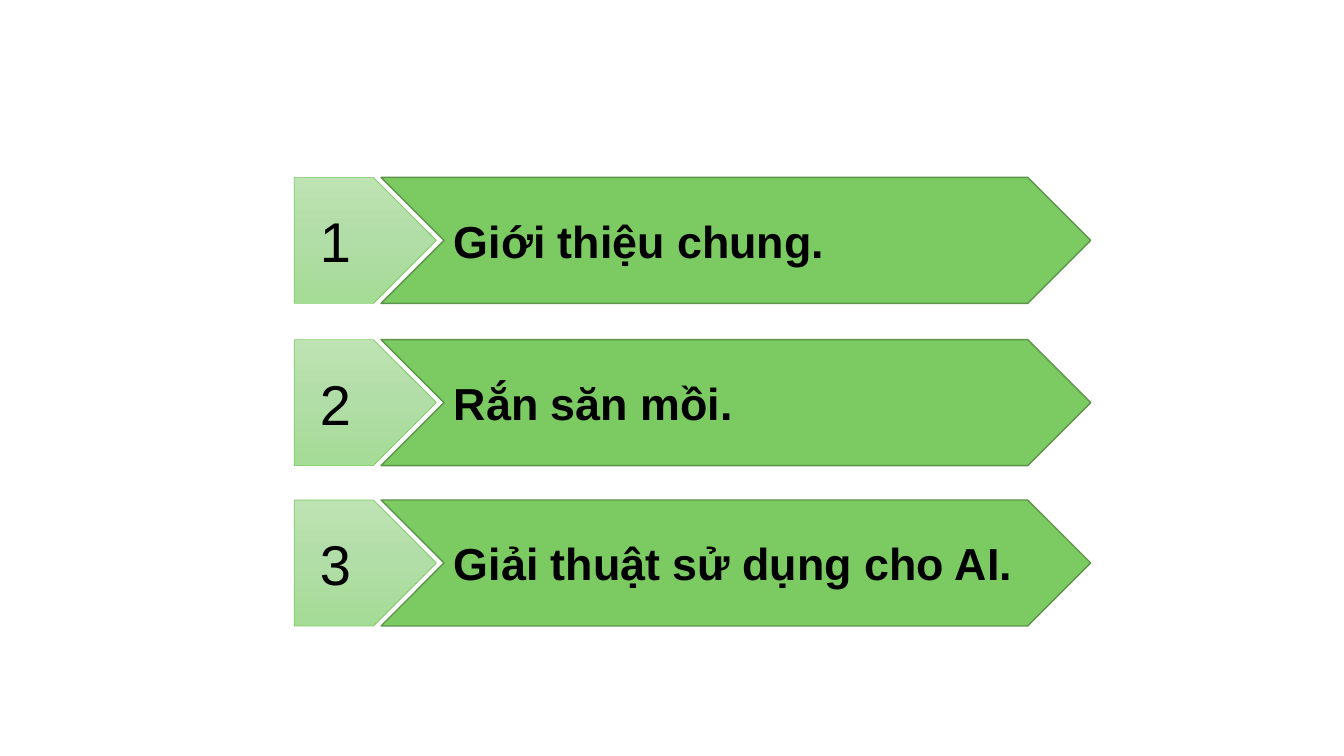
from copy import deepcopy
from dataclasses import dataclass

from pptx import Presentation
from pptx import util as u
from pptx.dml import color
from pptx.enum import shapes, text
from pptx.slide import Slide

COLORS = {
    "green": "7CCA62",
    "outline": "5C9549",
    "top": "BDE3B3",
    "middle": "B1DDA6",
    "bottom": "A5DC96",
    "ink": "000000",
}
HEIGHT = 90


@dataclass
class Topic:
    number: str
    title: str
    top: float


@dataclass
class Style:
    kind: shapes.MSO_SHAPE
    left: float
    width: float
    line: str
    line_width: float
    indent: float
    font: dict


TITLE = Style(shapes.MSO_SHAPE.CHEVRON, 272.2, 506.9, "outline", 1, 7.2,
              {"name": "Arial", "size": u.Pt(32), "bold": True})
NUMBER = Style(shapes.MSO_SHAPE.PENTAGON, 210.2, 101.5, "green", 0.5, 18.3,
               {"name": "Arial", "size": u.Pt(40), "bold": False})
TOPICS = [
    Topic("1", "Giới thiệu chung.", 126.7),
    Topic("2", "Rắn săn mồi.", 242.6),
    Topic("3", "Giải thuật sử dụng cho AI.", 357.1),
]


def rgb(name: str) -> color.RGBColor:
    return color.RGBColor.from_string(COLORS[name])


def add_arrow(s: Slide, style: Style, top: float, label: str):
    sp = s.shapes.add_shape(style.kind, u.Pt(style.left), u.Pt(top),
                            u.Pt(style.width), u.Pt(HEIGHT))
    sp.shadow.inherit = False
    sp.line.color.rgb = rgb(style.line)
    sp.line.width = u.Pt(style.line_width)
    tf = sp.text_frame
    frame_format = {
        "word_wrap": True,
        "vertical_anchor": text.MSO_ANCHOR.MIDDLE,
        "margin_left": u.Pt(style.indent),
    }
    for key, value in frame_format.items():
        setattr(tf, key, value)
    p = tf.paragraphs[0]
    p.alignment = text.PP_ALIGN.LEFT
    r = p.add_run()
    r.text = label
    for key, value in style.font.items():
        setattr(r.font, key, value)
    r.font.color.rgb = rgb("ink")
    return sp


def add_title(s: Slide, topic: Topic) -> None:
    sp = add_arrow(s, TITLE, topic.top, topic.title)
    sp.fill.solid()
    sp.fill.fore_color.rgb = rgb("green")


def add_number(s: Slide, topic: Topic) -> None:
    sp = add_arrow(s, NUMBER, topic.top, topic.number)
    sp.fill.gradient()
    sp.fill.gradient_angle = 270
    first = sp.element.xpath(".//a:gs")[0]
    first.addnext(deepcopy(first))
    names = ("top", "middle", "bottom")
    for i, (stop, name) in enumerate(zip(sp.fill.gradient_stops, names)):
        stop.position = i / 2
        stop.color.rgb = rgb(name)


prs = Presentation()
prs.slide_width, prs.slide_height = u.Pt(960), u.Pt(540)
s = prs.slides.add_slide(prs.slide_layouts[6])
for draw in (add_title, add_number):
    for topic in TOPICS:
        draw(s, topic)
prs.save("out.pptx")
